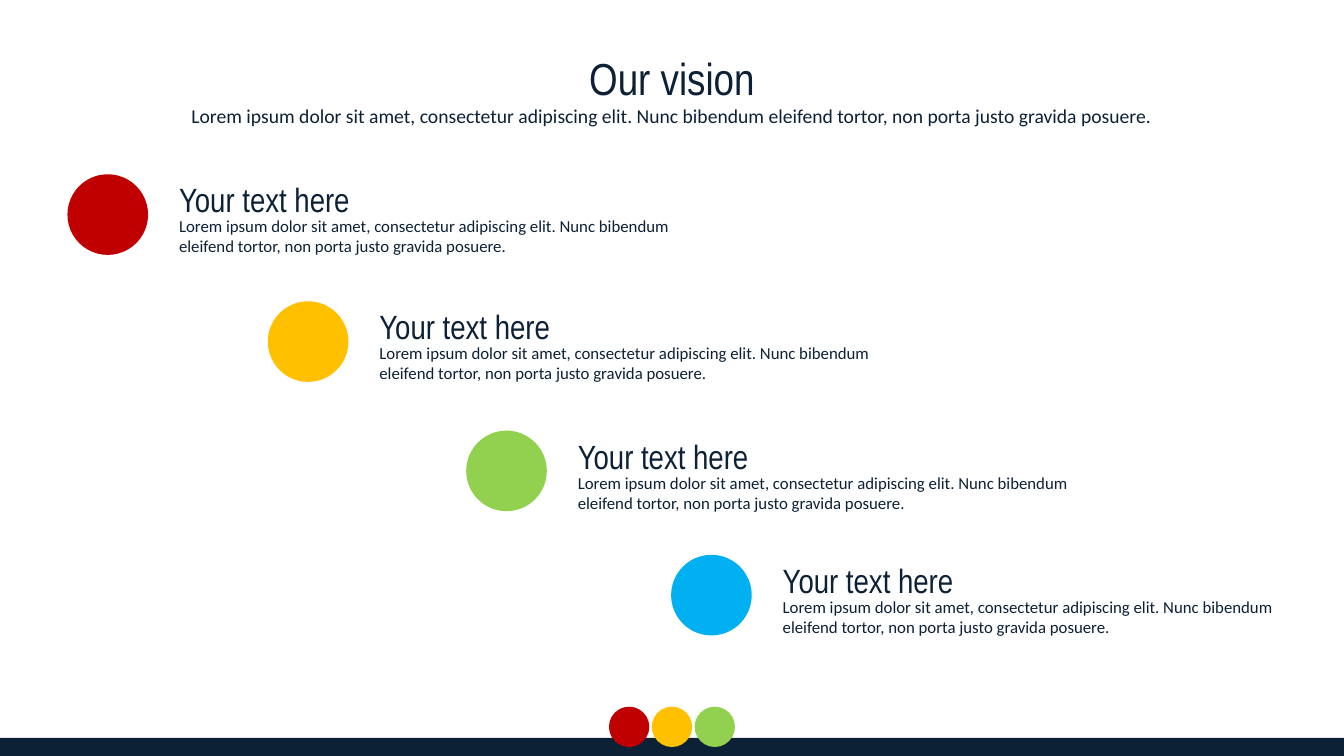
from pptx import Presentation
from pptx.dml.color import RGBColor
from pptx.enum.shapes import MSO_SHAPE
from pptx.enum.text import MSO_AUTO_SIZE, PP_ALIGN
from pptx.util import Pt

WIDTH, HEIGHT = 960, 540
COLORS = {
    "navy": "0C2036",
    "red": "C00000",
    "yellow": "FFC000",
    "green": "92D050",
    "blue": "00B0F0",
}
LOREM = (
    "Lorem ipsum dolor sit amet, consectetur adipiscing elit. "
    "Nunc bibendum eleifend tortor, non porta justo gravida posuere."
)
# Left and top of each step's circle
STEPS = {
    "red": (48.2, 124.5),
    "yellow": (191.3, 215.2),
    "green": (333, 307.6),
    "blue": (479.4, 396.3),
}


class VisionSlide:
    heading_font = "Arial Narrow"
    body_font = "Calibri"

    def __init__(self, deck):
        self.page = deck.slides.add_slide(deck.slide_layouts[6])

    def shape(self, kind, color, left, top, width, height):
        shape = self.page.shapes.add_shape(
            kind, Pt(left), Pt(top), Pt(width), Pt(height)
        )
        shape.shadow.inherit = False
        shape.fill.solid()
        shape.fill.fore_color.rgb = RGBColor.from_string(COLORS[color])
        shape.line.fill.background()

    def circle(self, color, left, top, diameter):
        self.shape(MSO_SHAPE.OVAL, color, left, top, diameter, diameter)

    def text(self, words, font, size, left, top, width, height,
             align=PP_ALIGN.LEFT, spacing=None):
        box = self.page.shapes.add_textbox(
            Pt(left), Pt(top), Pt(width), Pt(height)
        )
        frame = box.text_frame
        frame.word_wrap = True
        frame.auto_size = MSO_AUTO_SIZE.SHAPE_TO_FIT_TEXT
        para = frame.paragraphs[0]
        para.text = words
        para.alignment = align
        para.line_spacing = spacing
        para.font.name = font
        para.font.size = Pt(size)
        para.font.color.rgb = RGBColor.from_string(COLORS["navy"])

    def footer(self):
        self.shape(MSO_SHAPE.RECTANGLE, "navy", 0, 527, WIDTH, 13)
        for index, color in enumerate(("red", "yellow", "green")):
            self.circle(color, 435 + 30.6 * index, 504.8, 28.8)

    def header(self):
        self.text(LOREM, self.body_font, 14, 0, 62, WIDTH, 32.4,
                  PP_ALIGN.CENTER, 1.5)
        self.text("Our vision", self.heading_font, 32, 0, 32.4, WIDTH, 46,
                  PP_ALIGN.CENTER)

    def step(self, color, left, top):
        text_left = left + 72.6
        self.text(LOREM, self.body_font, 12, text_left, top + 26.2, 387.4, 36)
        self.text("Your text here", self.heading_font, 24,
                  text_left, top, 387.4, 36)
        self.circle(color, left, top, 57.6)


def main():
    deck = Presentation()
    deck.slide_width, deck.slide_height = Pt(WIDTH), Pt(HEIGHT)
    slide = VisionSlide(deck)
    slide.footer()
    slide.header()
    for color, (left, top) in STEPS.items():
        slide.step(color, left, top)
    deck.save("out.pptx")


if __name__ == "__main__":
    main()
